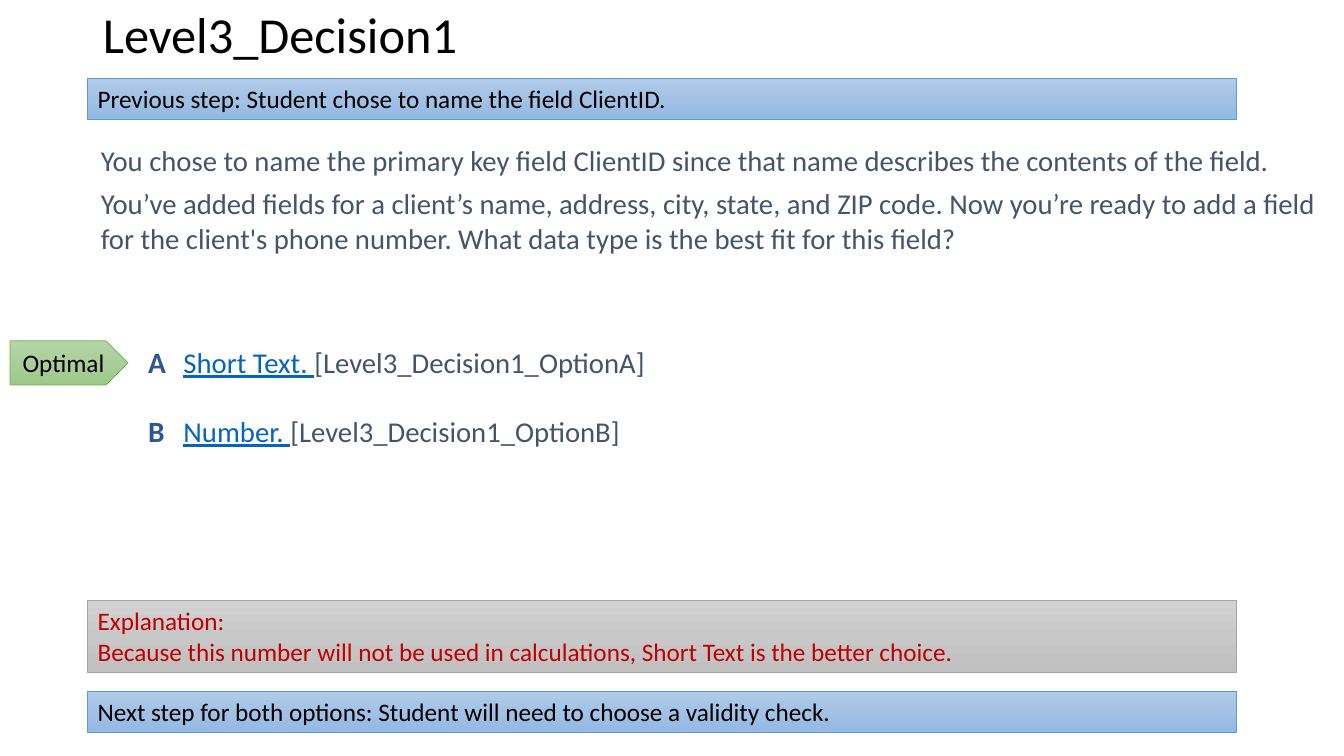
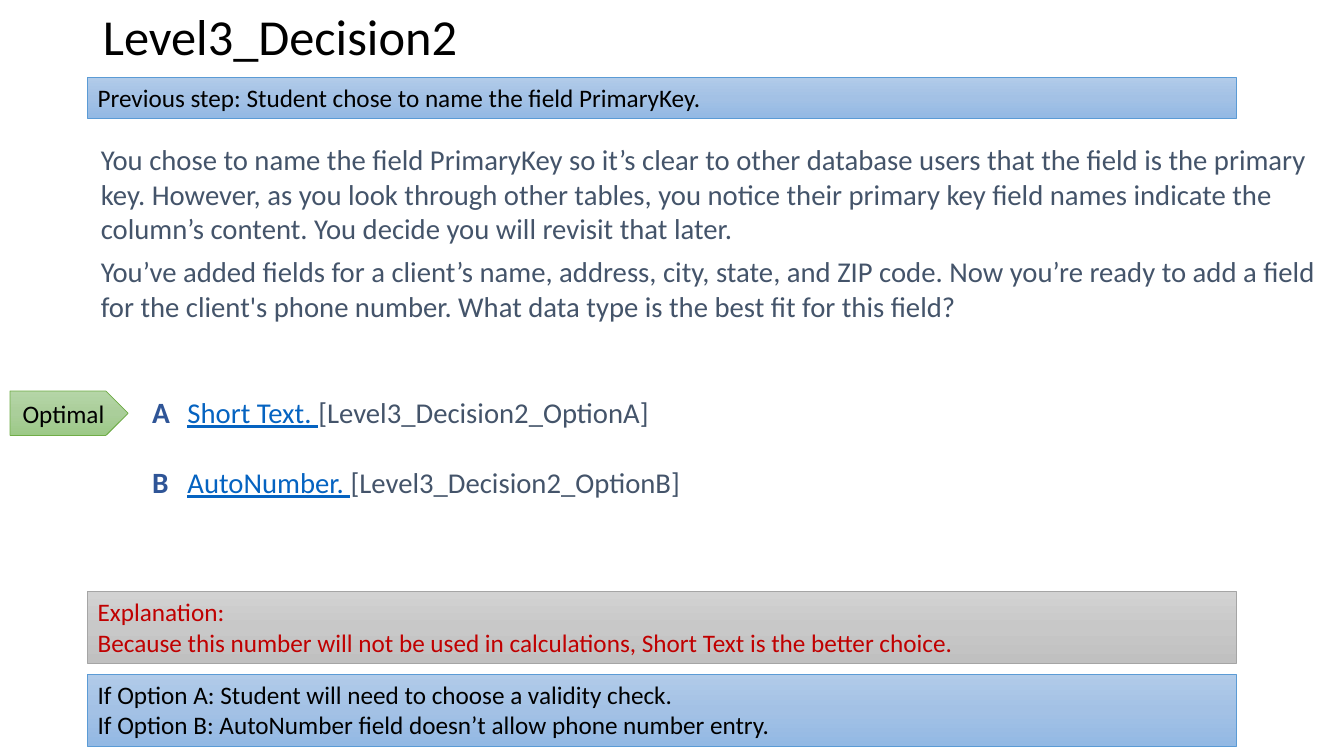
import copy
from dataclasses import dataclass

import pptx
import pptx.dml.color
import pptx.enum.shapes
import pptx.enum.text
import pptx.oxml.ns
import pptx.util

Inches = pptx.util.Inches
Pt = pptx.util.Pt
SHAPES = pptx.enum.shapes.MSO_SHAPE
ALIGN = pptx.enum.text.PP_ALIGN
ANCHOR = pptx.enum.text.MSO_ANCHOR
AUTO_SIZE = pptx.enum.text.MSO_AUTO_SIZE

FONT = "Calibri"
BLACK, RED = "000000", "C00000"
BODY, LINK, LETTER = "44546A", "0563C1", "2F5597"
BODY_SIZE, LETTER_SIZE, BAND_SIZE, TITLE_SIZE = 20.5, 21, 18, 36
LEFT, BAND_WIDTH = 0.87, 11.39
BAND_PADDING, BAND_LINE = 0.1, 0.305
OPTION_PITCH = 0.69
OPTION_GAP = 25  # one line of body text, in points

EXPLANATION = [
    "Explanation:",
    "Because this number will not be used in calculations, Short Text is the better choice.",
]
QUESTION = (
    "You’ve added fields for a client’s name, address, city, state, and ZIP code. "
    "Now you’re ready to add a field for the client's phone number. "
    "What data type is the best fit for this field?"
)


@dataclass(frozen=True)
class Palette:
    stops: tuple[str, str, str]
    outline: str


BLUE = Palette(("B1CBE9", "A3C1E5", "93B9E4"), "5B9BD5")
GRAY = Palette(("D2D2D2", "C8C8C8", "C0C0C0"), "A5A5A5")
GREEN = Palette(("B5D5A7", "AACE9A", "9CC987"), "70AD47")


@dataclass(frozen=True)
class Decision:
    name: str
    title_top: float
    previous_step: str
    previous_top: float
    story: str
    story_top: float
    story_height: float
    answers: tuple[str, str]
    letter_left: float
    options_top: float
    explanation_top: float
    next_steps: list[str]
    next_top: float


DECISIONS = [
    Decision(
        name="Level3_Decision1",
        title_top=0.02,
        previous_step="Previous step: Student chose to name the field ClientID.",
        previous_top=0.78,
        story="You chose to name the primary key field ClientID since that name "
        "describes the contents of the field.",
        story_top=1.35,
        story_height=1.56,
        answers=("Short Text. ", "Number. "),
        letter_left=1.34,
        options_top=3.35,
        explanation_top=5.96,
        next_steps=["Next step for both options: Student will need to choose a validity check."],
        next_top=6.86,
    ),
    Decision(
        name="Level3_Decision2",
        title_top=0.04,
        previous_step="Previous step: Student chose to name the field PrimaryKey.",
        previous_top=0.77,
        story="You chose to name the field PrimaryKey so it’s clear to other database "
        "users that the field is the primary key. However, as you look through other "
        "tables, you notice their primary key field names indicate the column’s content. "
        "You decide you will revisit that later.",
        story_top=1.34,
        story_height=2.09,
        answers=("Short Text. ", "AutoNumber. "),
        letter_left=1.38,
        options_top=3.85,
        explanation_top=5.87,
        next_steps=[
            "If Option A: Student will need to choose a validity check.",
            "If Option B: AutoNumber field doesn’t allow phone number entry.",
        ],
        next_top=6.69,
    ),
]


def rgb(value: str) -> pptx.dml.color.RGBColor:
    return pptx.dml.color.RGBColor.from_string(value)


def add_run(paragraph, text: str, size: float, color: str,
            bold: bool = False, underline: bool = False) -> None:
    run = paragraph.add_run()
    run.text = text
    font = run.font
    font.name, font.size, font.bold, font.underline = FONT, Pt(size), bold, underline
    font.color.rgb = rgb(color)


def next_paragraph(frame, index: int):
    return frame.add_paragraph() if index else frame.paragraphs[0]


def add_text_frame(slide, left: float, top: float, width: float, height: float):
    box = slide.shapes.add_textbox(Inches(left), Inches(top), Inches(width), Inches(height))
    frame = box.text_frame
    frame.word_wrap = True
    frame.margin_left = frame.margin_right = Inches(0.13)
    frame.margin_top = frame.margin_bottom = Inches(0.07)
    return frame


def add_panel(slide, kind, left: float, top: float, width: float, height: float,
              palette: Palette, lines: list[str], color: str, align):
    """Draw a gradient shape with a thin outline and its lines of text."""
    panel = slide.shapes.add_shape(
        kind, Inches(left), Inches(top), Inches(width), Inches(height))
    panel.shadow.inherit = False
    panel.fill.gradient()
    panel.fill.gradient_angle = 270  # counter-clockwise: top to bottom
    stop_list = panel._element.spPr.find(".//" + pptx.oxml.ns.qn("a:gsLst"))
    stop_list.append(copy.deepcopy(stop_list[-1]))
    for index, stop in enumerate(panel.fill.gradient_stops):
        stop.position = index / 2
        stop.color.rgb = rgb(palette.stops[index])
    panel.line.color.rgb = rgb(palette.outline)
    panel.line.width = Pt(0.5)
    frame = panel.text_frame
    frame.word_wrap = True
    for index, line in enumerate(lines):
        paragraph = next_paragraph(frame, index)
        paragraph.alignment = align
        add_run(paragraph, line, BAND_SIZE, color)
    return panel


def add_band(slide, top: float, palette: Palette, lines: list[str], color: str = BLACK) -> None:
    height = BAND_PADDING + BAND_LINE * len(lines)
    band = add_panel(slide, SHAPES.RECTANGLE, LEFT, top, BAND_WIDTH, height,
                     palette, lines, color, ALIGN.LEFT)
    band.text_frame.vertical_anchor = ANCHOR.TOP
    band.text_frame.auto_size = AUTO_SIZE.SHAPE_TO_FIT_TEXT


def add_title(slide, decision: Decision) -> None:
    title = slide.shapes.title
    title.left, title.top = Inches(0.92), Inches(decision.title_top)
    title.width, title.height = Inches(11.5), Inches(0.7)
    title.text_frame.vertical_anchor = ANCHOR.MIDDLE
    paragraph = title.text_frame.paragraphs[0]
    paragraph.alignment = ALIGN.LEFT
    paragraph.line_spacing = 0.9
    add_run(paragraph, decision.name, TITLE_SIZE, BLACK)


def add_story(slide, decision: Decision) -> None:
    frame = add_text_frame(slide, LEFT, decision.story_top, 12.4, decision.story_height)
    for index, text in enumerate((decision.story, QUESTION)):
        paragraph = next_paragraph(frame, index)
        paragraph.space_after = Pt(6)
        add_run(paragraph, text, BODY_SIZE, BODY)


def add_options(slide, decision: Decision) -> None:
    left, top = decision.letter_left, decision.options_top
    answers = add_text_frame(slide, left + 0.35, top, 6.4, 1.25)
    for index, (letter, answer) in enumerate(zip("AB", decision.answers)):
        paragraph = next_paragraph(answers, index)
        if index:
            paragraph.space_before = Pt(OPTION_GAP)
        add_run(paragraph, answer, BODY_SIZE, LINK, underline=True)
        add_run(paragraph, f"[{decision.name}_Option{letter}]", BODY_SIZE, BODY)
        label = add_text_frame(slide, left, top - 0.01 + index * OPTION_PITCH, 0.7, 0.5)
        add_run(label.paragraphs[0], letter, LETTER_SIZE, LETTER, bold=True)
    # Tag that points at the best answer
    tag = add_panel(slide, SHAPES.PENTAGON, 0.1, top + 0.03, 1.17, 0.44,
                    GREEN, ["Optimal"], BLACK, ALIGN.CENTER)
    tag.text_frame.vertical_anchor = ANCHOR.MIDDLE


def add_decision(deck, decision: Decision) -> None:
    slide = deck.slides.add_slide(deck.slide_layouts.get_by_name("Title Only"))
    add_title(slide, decision)
    add_story(slide, decision)
    add_options(slide, decision)
    # Bands: what came before, why, and what follows
    add_band(slide, decision.previous_top, BLUE, [decision.previous_step])
    add_band(slide, decision.explanation_top, GRAY, EXPLANATION, RED)
    add_band(slide, decision.next_top, BLUE, decision.next_steps)


def main() -> None:
    deck = pptx.Presentation()
    deck.slide_width, deck.slide_height = Inches(13.33), Inches(7.5)
    for decision in DECISIONS:
        add_decision(deck, decision)
    deck.save("out.pptx")


if __name__ == "__main__":
    main()
